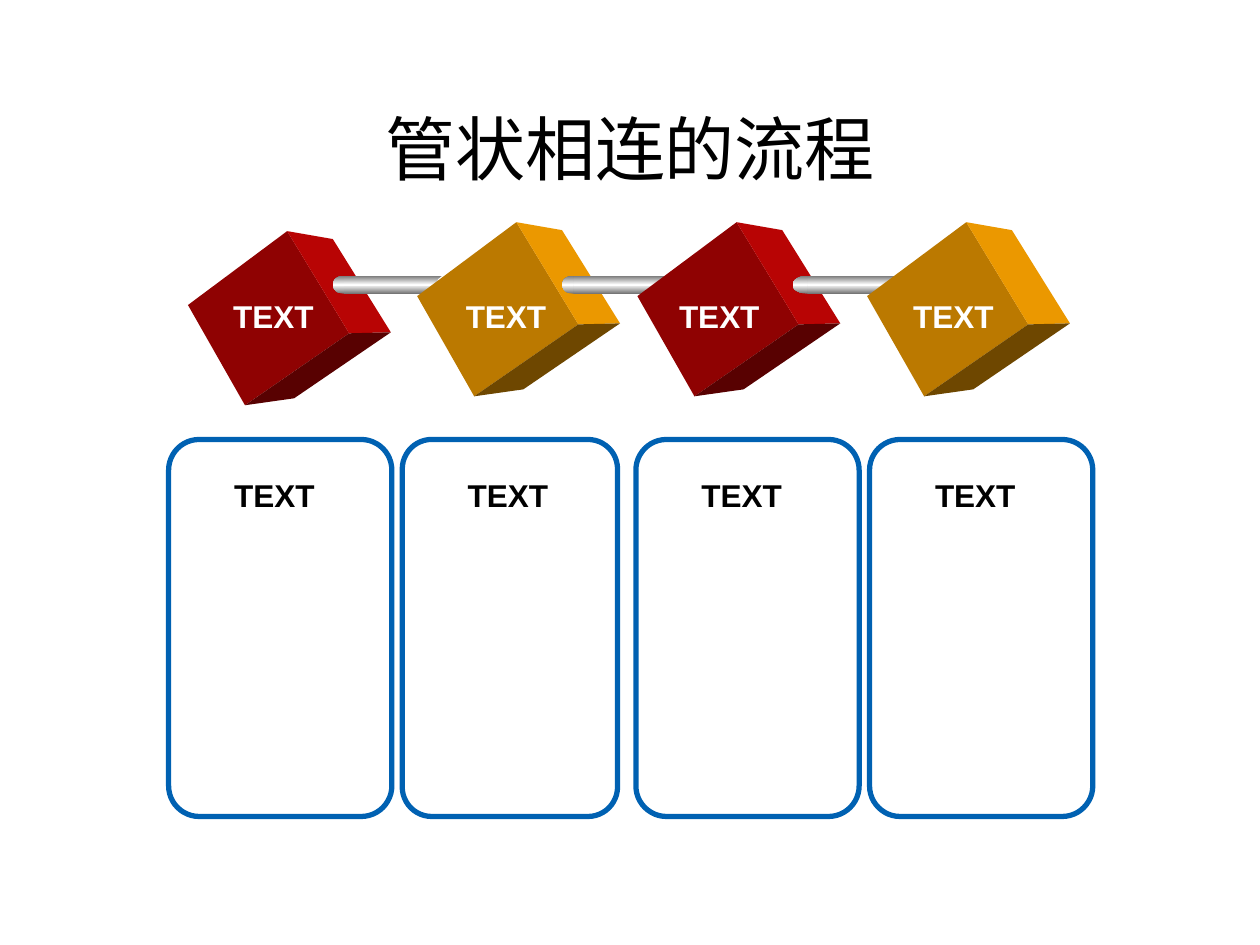
import copy
from dataclasses import dataclass

import pptx
import pptx.util
import pptx.dml.color
import pptx.enum.shapes
import pptx.enum.text

Cm = pptx.util.Cm
Pt = pptx.util.Pt
Color = pptx.dml.color.RGBColor.from_string
Shape = pptx.enum.shapes.MSO_SHAPE


@dataclass(frozen=True)
class Theme:
    black: str = "000000"
    white: str = "FFFFFF"
    panel_line: str = "0061B2"
    tube_edge: str = "767676"
    ring_edge: str = "B6B6B6"
    red: tuple = ("8F0202", "B80404", "580101")
    orange: tuple = ("BB7900", "EB9800", "6E4700")
    title_font: str = "Calibri"
    label_font: str = "Arial"
    title_size: int = 40
    label_size: int = 18


theme = Theme()


def add_label(page, left, top, color):
    box = page.shapes.add_textbox(Cm(left), Cm(top), Cm(2.13), Cm(1.02))
    box.text_frame.word_wrap = False
    box.text_frame.auto_size = pptx.enum.text.MSO_AUTO_SIZE.SHAPE_TO_FIT_TEXT
    para = box.text_frame.paragraphs[0]
    para.text = "TEXT"
    para.font.name = theme.label_font
    para.font.size = Pt(theme.label_size)
    para.font.bold = True
    para.font.color.rgb = Color(color)


def shade_metal(shape, edge):
    shape.fill.gradient()
    shape.fill.gradient_angle = 270
    stops = shape.fill._fill._gradFill.gsLst
    stops.insert(1, copy.deepcopy(stops[0]))
    for stop, color, position in zip(
        shape.fill.gradient_stops, (edge, theme.white, edge), (0, 0.5, 1)
    ):
        stop.color.rgb = Color(color)
        stop.position = position


deck = pptx.Presentation()
deck.slide_width = Cm(25.4)
deck.slide_height = Cm(19.05)
page = deck.slides.add_slide(deck.slide_layouts[5])

title = page.shapes.title
title.left, title.top, title.width, title.height = Cm(1.27), Cm(1.98), Cm(22.86), Cm(1.98)
title.text_frame.vertical_anchor = pptx.enum.text.MSO_ANCHOR.MIDDLE
para = title.text_frame.paragraphs[0]
para.text = "管状相连的流程"
para.alignment = pptx.enum.text.PP_ALIGN.CENTER
para.font.name = theme.title_font
para.font.size = Pt(theme.title_size)
para.font.color.rgb = Color(theme.black)

column_pitch = 4.71
for column, width in enumerate((4.5, 4.34, 4.5, 4.5)):
    panel = page.shapes.add_shape(
        Shape.ROUNDED_RECTANGLE,
        Cm(3.4 + column * column_pitch), Cm(8.86), Cm(width), Cm(7.6),
    )
    panel.adjustments[0] = 0.137
    panel.shadow.inherit = False
    panel.fill.background()
    panel.line.color.rgb = Color(theme.panel_line)
    panel.line.width = Pt(3)

cube_faces = (
    ((0, 1.49), (2, 0), (3.25, 2.06), (1.15, 3.51)),
    ((2, 0), (2.92, 0.16), (4.09, 2.04), (3.25, 2.06)),
    ((3.25, 2.06), (4.09, 2.04), (2.14, 3.37), (1.15, 3.51)),
)
pipe_parts = (
    (Shape.OVAL, 0, 0, 0.43, 0.36, theme.tube_edge),
    (Shape.RECTANGLE, 0.23, 0, 2.08, 0.36, theme.tube_edge),
    (Shape.OVAL, 2.11, 0, 0.38, 0.33, theme.ring_edge),
    (Shape.OVAL, 2.31, 0.1, 0.1, 0.1, theme.ring_edge),
)
pipe_top = 5.56
steps = (
    (3.79, 4.66, theme.red, 6.71, 1),
    (8.41, 4.48, theme.orange, 11.33, 1),
    (12.85, 4.48, theme.red, 15.98, 1.3),
    (17.48, 4.48, theme.orange, None, None),
)
for cube_left, cube_top, colors, pipe_left, stretch in steps:
    cube = page.shapes.add_group_shape()
    for points, color in zip(cube_faces, colors):
        corners = [(Cm(cube_left + x), Cm(cube_top + y)) for x, y in points]
        builder = cube.shapes.build_freeform(*corners[0])
        builder.add_line_segments(corners[1:], close=True)
        face = builder.convert_to_shape()
        face.shadow.inherit = False
        face.fill.solid()
        face.fill.fore_color.rgb = Color(color)
        face.line.fill.background()
    if pipe_left is None:
        continue
    pipe = page.shapes.add_group_shape()
    for kind, left, top, width, height, edge in pipe_parts:
        part = pipe.shapes.add_shape(
            kind, Cm(pipe_left + left * stretch), Cm(pipe_top + top),
            Cm(width * stretch), Cm(height),
        )
        part.shadow.inherit = False
        part.line.fill.background()
        shade_metal(part, edge)
    ring = pipe.shapes[2]
    ring.line.color.rgb = Color(theme.white)
    ring.line.width = Pt(1)

for left in (4.45, 9.14, 13.44, 18.16):
    add_label(page, left, 5.87, theme.white)
for column in range(4):
    add_label(page, 4.47 + column * column_pitch, 9.47, theme.black)

deck.save("out.pptx")
